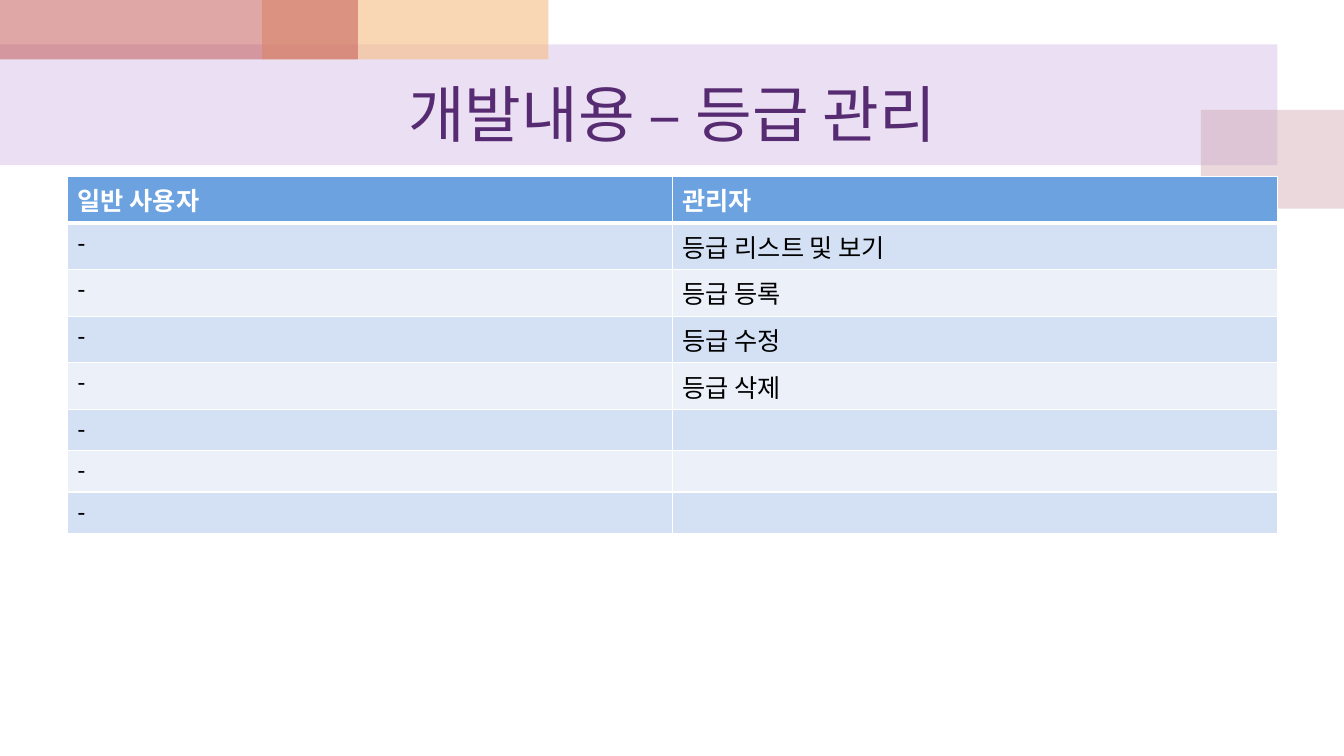
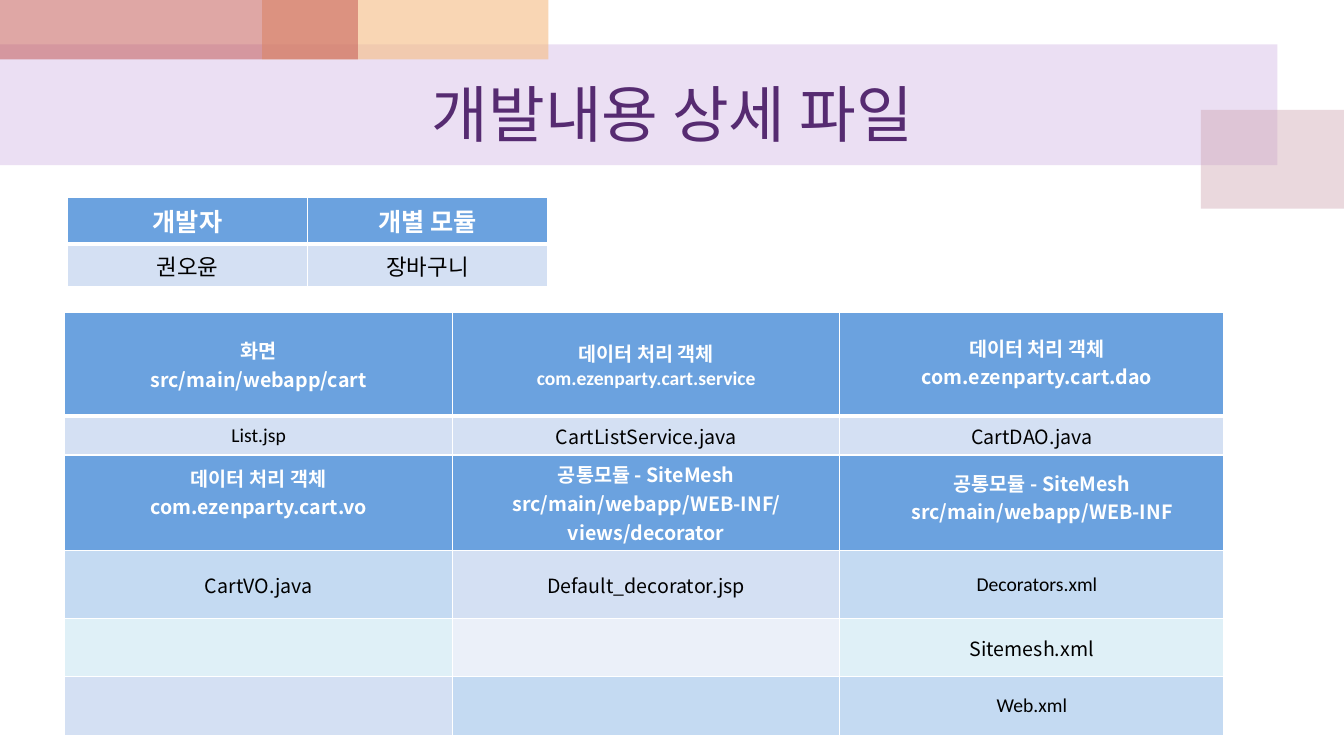
from lxml.etree import SubElement
from pptx import Presentation
from pptx.dml.color import RGBColor
from pptx.enum.shapes import MSO_SHAPE as Shape
from pptx.enum.text import MSO_ANCHOR as Anchor, PP_ALIGN as Align
from pptx.oxml import parse_xml
from pptx.oxml.ns import nsdecls, qn
from pptx.util import Inches, Pt

WHITE = RGBColor(0xFF, 0xFF, 0xFF)
BLACK = RGBColor(0x00, 0x00, 0x00)
PURPLE = RGBColor(0x56, 0x2B, 0x71)
LILAC = RGBColor(0xBF, 0x98, 0xD8)
ROSE = RGBColor(0xCC, 0x9E, 0xAC)
APRICOT = RGBColor(0xF5, 0xBC, 0x83)
RED = RGBColor(0xC0, 0x50, 0x4D)
BLUE = RGBColor(0x6B, 0xA2, 0xDF)
PALE = RGBColor(0xD4, 0xE0, 0xF3)
PALER = RGBColor(0xEB, 0xF0, 0xF9)
SKY = RGBColor(0xC4, 0xDA, 0xF2)
AQUA = RGBColor(0xDF, 0xF0, 0xF7)

LATIN = "Calibri"
HANGUL = "Noto Sans CJK KR"
BANDS = [
    ((0, 0.44, 12.67, 1.2), LILAC, 30),
    ((11.91, 1.09, 1.43, 0.98), ROSE, 40),
    ((2.6, 0, 2.84, 0.59), APRICOT, 60),
    ((0, 0, 3.55, 0.59), RED, 50),
]


def assign(target, values):
    for name, value in values.items():
        setattr(target, name, value)


class Deck:
    def __init__(self):
        self.deck = Presentation()
        assign(self.deck, {"slide_width": Inches(13.33), "slide_height": Inches(7.5)})
        self.layout = self.deck.slide_layouts[5]
        self.page = None

    def add_page(self, title):
        self.page = self.deck.slides.add_slide(self.layout)
        box = self.page.shapes.title
        assign(box, {"left": Inches(0.67), "top": Inches(0.59),
                     "width": Inches(12), "height": Inches(1.05)})
        box.text_frame.vertical_anchor = Anchor.MIDDLE
        self.add_text(box.text_frame, title, Align.CENTER, LATIN, 44, PURPLE)

    def add_bands(self):
        tree = self.layout.shapes.element
        for index, (place, color, opacity) in enumerate(BANDS):
            band = self.page.shapes.add_shape(Shape.RECTANGLE, *map(Inches, place))
            band.shadow.inherit = False
            band.line.fill.background()
            band.fill.solid()
            band.fill.fore_color.rgb = color
            tint = band.element.spPr.find(qn("a:solidFill"))[0]
            SubElement(tint, qn("a:alpha"), val=str(opacity * 1000))
            identity = band.element.xpath("p:nvSpPr/p:cNvPr")[0]
            identity.set("id", str(20 + index))
            tree.insert(2 + index, band.element)

    def add_text(self, frame, text, align, font, size, color, bold=False):
        for index, line in enumerate(text.split("\n")):
            para = frame.add_paragraph() if index else frame.paragraphs[0]
            para.alignment = align
            if not line:
                continue
            span = para.add_run()
            span.text = line
            assign(span.font, {"name": font, "size": Pt(size), "bold": bold})
            span.font.color.rgb = color
            SubElement(span.font._element, qn("a:ea"), typeface=HANGUL)

    def add_borders(self, cell, widths):
        properties = cell._tc.get_or_add_tcPr()
        for index, (side, width) in enumerate(widths.items()):
            properties.insert(index, parse_xml(
                f'<a:ln{side} {nsdecls("a")} w="{Pt(width)}"><a:solidFill>'
                f'<a:srgbClr val="{WHITE}"/></a:solidFill></a:ln{side}>'))

    def add_grid(self, corner, columns, heights, rows, fills, size, header_size,
                 align=Align.LEFT, anchor=Anchor.TOP, font=LATIN, fonts=None, margins=None):
        frame = self.page.shapes.add_table(
            len(rows), len(columns), *map(Inches, corner),
            Inches(sum(columns)), Inches(sum(heights)))
        table = frame.table
        assign(table, {"first_row": False, "horz_banding": False})
        for column, width in zip(table.columns, columns):
            column.width = Inches(width)
        for row, height in zip(table.rows, heights):
            row.height = Inches(height)
        for r, row in enumerate(rows):
            for c, text in enumerate(row):
                cell, fill = table.cell(r, c), fills[r][c]
                header = fill == BLUE
                cell.fill.solid()
                cell.fill.fore_color.rgb = fill
                cell.vertical_anchor = anchor
                insets = (margins or {}).get((r, c), {})
                assign(cell, {f"margin_{side}": Inches(inset) for side, inset in insets.items()})
                self.add_text(cell.text_frame, text, align, (fonts or {}).get((r, c), font),
                              header_size if header else size,
                              WHITE if header else BLACK, header)
                self.add_borders(cell, {"L": 1, "R": 1, "T": 3 if r == 1 else 1,
                                        "B": 3 if r == 0 else 1})

    def save(self):
        self.deck.save("out.pptx")


def main():
    deck = Deck()
    deck.add_page("개발내용 – 등급 관리")
    deck.add_bands()
    tasks = ["등급 리스트 및 보기", "등급 등록", "등급 수정", "등급 삭제", "", "", ""]
    deck.add_grid(
        (0.67, 1.75), [6, 6], [0.41] * 8,
        [("일반 사용자", "관리자")] + [("-", task) for task in tasks],
        [[BLUE] * 2] + [[PALER if index % 2 else PALE] * 2 for index in range(len(tasks))],
        size=18, header_size=18)

    deck.add_page("개발내용 상세 파일")
    deck.add_grid(
        (0.64, 3.1), [3.85, 3.84, 3.81], [1.03, 0.37, 0.95, 0.67, 0.58, 0.58],
        [
            ("화면\nsrc/main/webapp/cart",
             "데이터 처리 객체\ncom.ezenparty.cart.service",
             "데이터 처리 객체\ncom.ezenparty.cart.dao"),
            ("List.jsp", "CartListService.java", "CartDAO.java"),
            ("데이터 처리 객체\ncom.ezenparty.cart.vo",
             "공통모듈 - SiteMesh\nsrc/main/webapp/WEB-INF/\nviews/decorator",
             "공통모듈 - SiteMesh\nsrc/main/webapp/WEB-INF"),
            ("CartVO.java", "Default_decorator.jsp", "Decorators.xml"),
            ("", "", "Sitemesh.xml"),
            ("", "", "Web.xml"),
        ],
        [[BLUE] * 3, [PALE] * 3, [BLUE] * 3,
         [SKY, PALE, SKY], [AQUA, PALER, AQUA], [PALE, SKY, SKY]],
        size=14, header_size=14, align=Align.CENTER, anchor=Anchor.MIDDLE, font=HANGUL,
        fonts=dict.fromkeys([(0, 1), (1, 0), (3, 2), (5, 2)], LATIN),
        margins={
            (0, 2): {"left": 0.2, "top": 0.2, "bottom": 0.25},
            (2, 0): {"bottom": 0.27},
            (2, 2): {"left": 0.2, "top": 0.1, "right": 0, "bottom": 0.22},
            (3, 2): {"left": 0.2, "top": 0.1, "bottom": 0.1},
        })
    deck.add_grid(
        (0.67, 1.96), [2.38] * 2, [0.4, 0.41],
        [("개발자", "개별 모듈"), ("권오윤", "장바구니")],
        [[BLUE] * 2, [PALE] * 2],
        size=16, header_size=18, align=Align.CENTER)
    deck.save()


if __name__ == "__main__":
    main()
